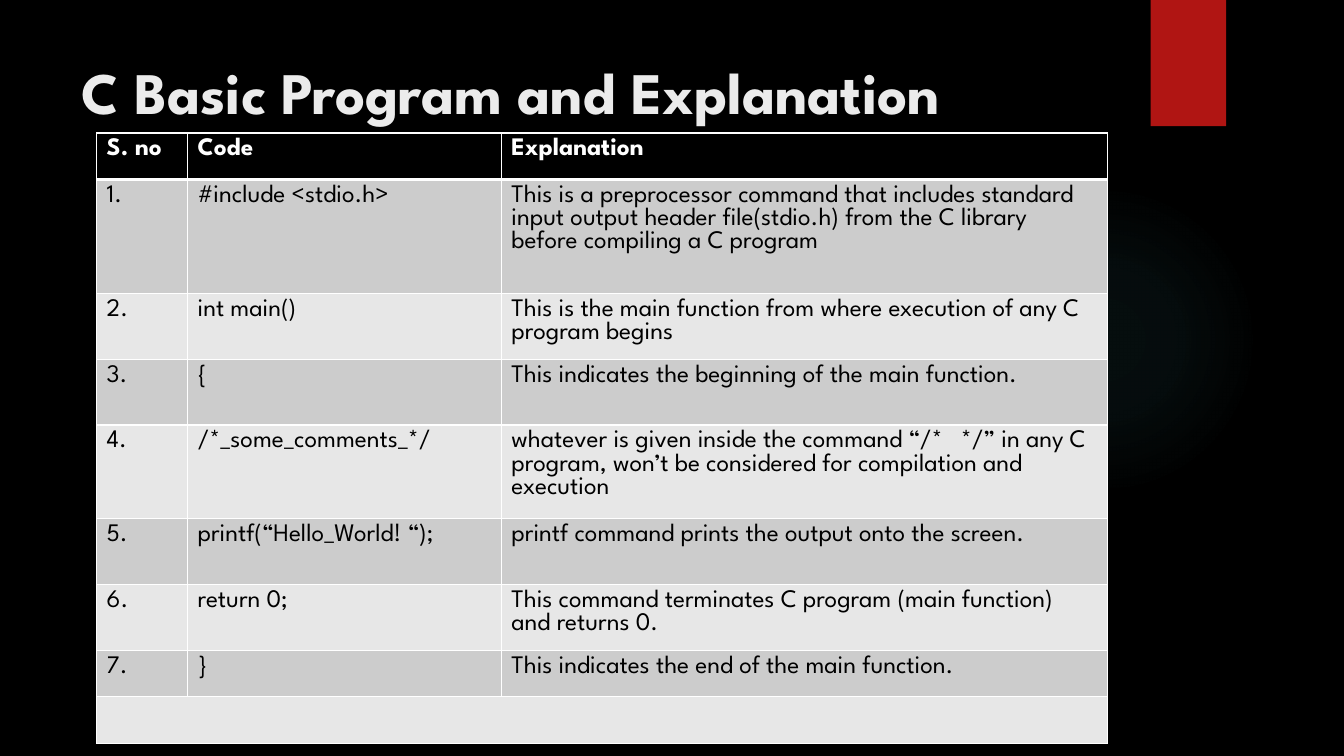
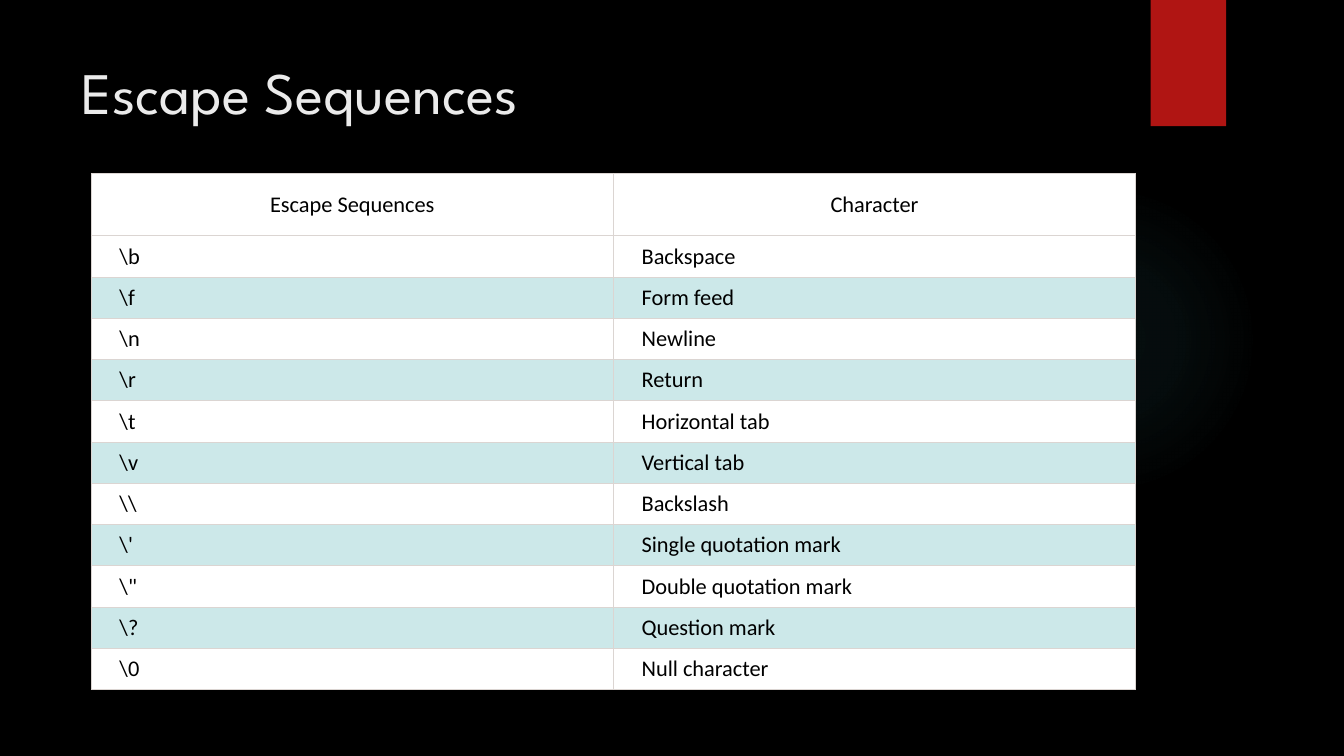
from dataclasses import dataclass
from typing import Optional

import lxml.etree
import pptx
import pptx.dml.color
import pptx.enum.shapes
import pptx.enum.text
import pptx.oxml
import pptx.oxml.ns
import pptx.slide
import pptx.table
import pptx.util

Cm = pptx.util.Cm
Pt = pptx.util.Pt
RGBColor = pptx.dml.color.RGBColor
Shape = pptx.enum.shapes.MSO_SHAPE
Align = pptx.enum.text.PP_ALIGN
Anchor = pptx.enum.text.MSO_ANCHOR
qn = pptx.oxml.ns.qn

BLACK = RGBColor(0x00, 0x00, 0x00)
WHITE = RGBColor(0xFF, 0xFF, 0xFF)
TITLE_GREY = RGBColor(0xEB, 0xEB, 0xEB)
RED = RGBColor(0xB0, 0x15, 0x13)
TEAL = RGBColor(0x50, 0xB9, 0xC1)
DARK_BAND = RGBColor(0xCC, 0xCC, 0xCC)
LIGHT_BAND = RGBColor(0xE7, 0xE7, 0xE7)
TEAL_BAND = RGBColor(0xCC, 0xE8, 0xE9)
RULE_GREY = RGBColor(0xDB, 0xD5, 0xD2)

TITLE_FONT = "League Spartan"
GLOW_STOPS = ((0, 7), (36, 6), (69, 0))  # position %, opacity %


@dataclass(frozen=True)
class CellStyle:
    """Text look and insets (horizontal, vertical, in cm) of a cell."""

    color: RGBColor
    bold: bool = False
    align: Align = Align.LEFT
    inset: tuple[float, float] = (0.25, 0.13)


@dataclass(frozen=True)
class TableSpec:
    """Content, grid (cm) and look of one table."""

    left: float
    top: float
    cols: list[float]
    heights: list[float]
    rows: list[tuple[str, ...]]
    font: str
    size: int
    header: CellStyle
    body: CellStyle
    header_fill: RGBColor
    bands: tuple[RGBColor, RGBColor]
    anchor: Anchor
    rule: RGBColor
    rule_pt: float
    header_rule_pt: float
    line_pt: Optional[float] = None


@dataclass(frozen=True)
class SlideSpec:
    """Title and table of one slide."""

    title: str
    bold: bool
    title_height: float
    table: TableSpec


PROGRAM_ROWS = [
    ("S. no", "Code", "Explanation"),
    ("1.", "#include <stdio.h>",
     "This is a preprocessor command that includes standard input output "
     "header file(stdio.h) from the C library before compiling a C program"),
    ("2.", "int main()",
     "This is the main function from where execution of any C program begins"),
    ("3.", "{", "This indicates the beginning of the main function."),
    ("4.", "/*_some_comments_*/",
     "whatever is given inside the command “/*\u00a0\u00a0 */” in any C "
     "program, won’t be considered for compilation and execution"),
    ("5.", "printf(“Hello_World! “);",
     "printf command prints the output onto the screen."),
    ("6.", "return 0;",
     "This command terminates C program (main function) and returns 0."),
    ("7.", "}", "This indicates the end of the main function."),
    ("",),
]

ESCAPE_ROWS = [
    ("Escape Sequences", "Character"),
    ("\\b", "Backspace"),
    ("\\f", "Form feed"),
    ("\\n", "Newline"),
    ("\\r", "Return"),
    ("\\t", "Horizontal tab"),
    ("\\v", "Vertical tab"),
    ("\\\\", "Backslash"),
    ("\\'", "Single quotation mark"),
    ('\\"', "Double quotation mark"),
    ("\\?", "Question mark"),
    ("\\0", "Null character"),
]

PROGRAM_TABLE = TableSpec(
    left=2.44, top=3.35, cols=[2.29, 7.91, 15.28],
    heights=[1.17, 2.87, 1.66, 1.66, 2.36, 1.66, 1.66, 1.17, 1.17],
    rows=PROGRAM_ROWS, font=TITLE_FONT, size=18,
    header=CellStyle(WHITE, bold=True), body=CellStyle(BLACK),
    header_fill=BLACK, bands=(DARK_BAND, LIGHT_BAND), anchor=Anchor.TOP,
    rule=WHITE, rule_pt=1, header_rule_pt=3, line_pt=16.6)

ESCAPE_TABLE = TableSpec(
    left=2.3, top=4.37, cols=[13.16] * 2, heights=[1.57] + [1.04] * 11,
    rows=ESCAPE_ROWS, font="Calibri", size=16,
    header=CellStyle(BLACK, align=Align.CENTER, inset=(0.23, 0.36)),
    body=CellStyle(BLACK, inset=(0.71, 0.13)),
    header_fill=WHITE, bands=(WHITE, TEAL_BAND), anchor=Anchor.MIDDLE,
    rule=RULE_GREY, rule_pt=0.75, header_rule_pt=0.75)

SLIDES = [
    SlideSpec("C Basic Program and Explanation", True, 2.44, PROGRAM_TABLE),
    SlideSpec("Escape Sequences", False, 2.77, ESCAPE_TABLE),
]


def add_node(parent: lxml.etree._Element, tag: str,
             **attrs: object) -> lxml.etree._Element:
    """Append a drawing element with the given attributes."""
    return lxml.etree.SubElement(
        parent, qn(tag), {name: str(value) for name, value in attrs.items()})


def add_color(parent: lxml.etree._Element, color: RGBColor,
              opacity: int) -> None:
    """Append a colour with an opacity in percent."""
    add_node(add_node(parent, "a:srgbClr", val=color), "a:alpha",
             val=opacity * 1000)


def add_glow(s: pptx.slide.Slide) -> None:
    """Draw the faint radial glow on the right."""
    sp = s.shapes.add_shape(Shape.OVAL, Cm(23.9), Cm(4.65), Cm(7.82), Cm(7.82))
    sp.shadow.inherit = False
    sp.line.fill.background()
    sp.fill.background()
    spPr = sp._element.spPr
    grad = pptx.oxml.parse_xml(
        f"<a:gradFill {pptx.oxml.ns.nsdecls('a')} rotWithShape='1'/>")
    spPr.replace(spPr.find(qn("a:noFill")), grad)
    stops = add_node(grad, "a:gsLst")
    for position, opacity in GLOW_STOPS:
        add_color(add_node(stops, "a:gs", pos=position * 1000), TEAL, opacity)
    add_node(add_node(grad, "a:path", path="circle"), "a:fillToRect",
             l=50000, t=50000, r=50000, b=50000)


def add_ribbon(s: pptx.slide.Slide) -> None:
    """Draw the red ribbon with its soft shadow at the top edge."""
    sp = s.shapes.add_shape(Shape.RECTANGLE, Cm(29), 0, Cm(1.9), Cm(3.18))
    sp.fill.solid()
    sp.fill.fore_color.rgb = RED
    sp.line.fill.background()
    sp.shadow.inherit = False
    effects = sp._element.spPr.find(qn("a:effectLst"))
    shadow = add_node(effects, "a:outerShdw", blurRad=Pt(3), dist=Pt(2),
                      dir=90 * 60000, rotWithShape=0)
    add_color(shadow, BLACK, 45)


def add_title(s: pptx.slide.Slide, spec: SlideSpec) -> None:
    """Write the slide title."""
    sp = s.shapes.add_textbox(Cm(1.8), Cm(1.27), Cm(26.14),
                              Cm(spec.title_height))
    tf = sp.text_frame
    tf.word_wrap = True
    p = tf.paragraphs[0]
    p.text = spec.title
    p.font.name = TITLE_FONT
    p.font.size = Pt(42)
    p.font.bold = spec.bold
    p.font.color.rgb = TITLE_GREY


def set_borders(cell: pptx.table._Cell, color: RGBColor, width: float,
                top: float, bottom: float) -> None:
    """Rule the four sides of a cell; widths in points."""
    tcPr = cell._tc.get_or_add_tcPr()
    sides = {"L": width, "R": width, "T": top, "B": bottom}
    for side, points in sides.items():
        ln = add_node(tcPr, f"a:ln{side}", w=Pt(points))
        add_node(add_node(ln, "a:solidFill"), "a:srgbClr", val=color)


def style_cell(cell: pptx.table._Cell, row: int, spec: TableSpec) -> None:
    """Apply rules, fill, insets and font by row position."""
    style = spec.body if row else spec.header
    set_borders(cell, spec.rule, spec.rule_pt,
                top=spec.header_rule_pt if row == 1 else spec.rule_pt,
                bottom=spec.rule_pt if row else spec.header_rule_pt)
    cell.fill.solid()
    cell.fill.fore_color.rgb = (spec.bands[(row - 1) % 2] if row
                                else spec.header_fill)
    cell.margin_left = cell.margin_right = Cm(style.inset[0])
    cell.margin_top = cell.margin_bottom = Cm(style.inset[1])
    cell.vertical_anchor = spec.anchor
    p = cell.text_frame.paragraphs[0]
    p.alignment = style.align
    if spec.line_pt:
        p.line_spacing = Pt(spec.line_pt)
    p.font.name = spec.font
    p.font.size = Pt(spec.size)
    p.font.bold = style.bold
    p.font.color.rgb = style.color


def add_table(s: pptx.slide.Slide, spec: TableSpec) -> None:
    """Draw a table; a row with one text spans all columns."""
    table = s.shapes.add_table(
        len(spec.rows), len(spec.cols), Cm(spec.left), Cm(spec.top),
        Cm(sum(spec.cols)), Cm(sum(spec.heights))).table
    table.horz_banding = False
    for column, width in zip(table.columns, spec.cols):
        column.width = Cm(width)
    for i, (texts, height) in enumerate(zip(spec.rows, spec.heights)):
        table.rows[i].height = Cm(height)
        cells = list(table.rows[i].cells)
        for cell, text in zip(cells, texts):
            cell.text = text
        for cell in cells:
            style_cell(cell, i, spec)
        if len(texts) == 1:
            cells[0].merge(cells[-1])


def main() -> None:
    """Build and save the deck."""
    prs = pptx.Presentation()
    prs.slide_width, prs.slide_height = Cm(33.87), Cm(19.05)
    background = prs.slide_master.background.fill
    background.solid()
    background.fore_color.rgb = BLACK
    for spec in SLIDES:
        s = prs.slides.add_slide(prs.slide_layouts[6])
        add_glow(s)
        add_ribbon(s)
        add_title(s, spec)
        add_table(s, spec.table)
    prs.save("out.pptx")


main()
